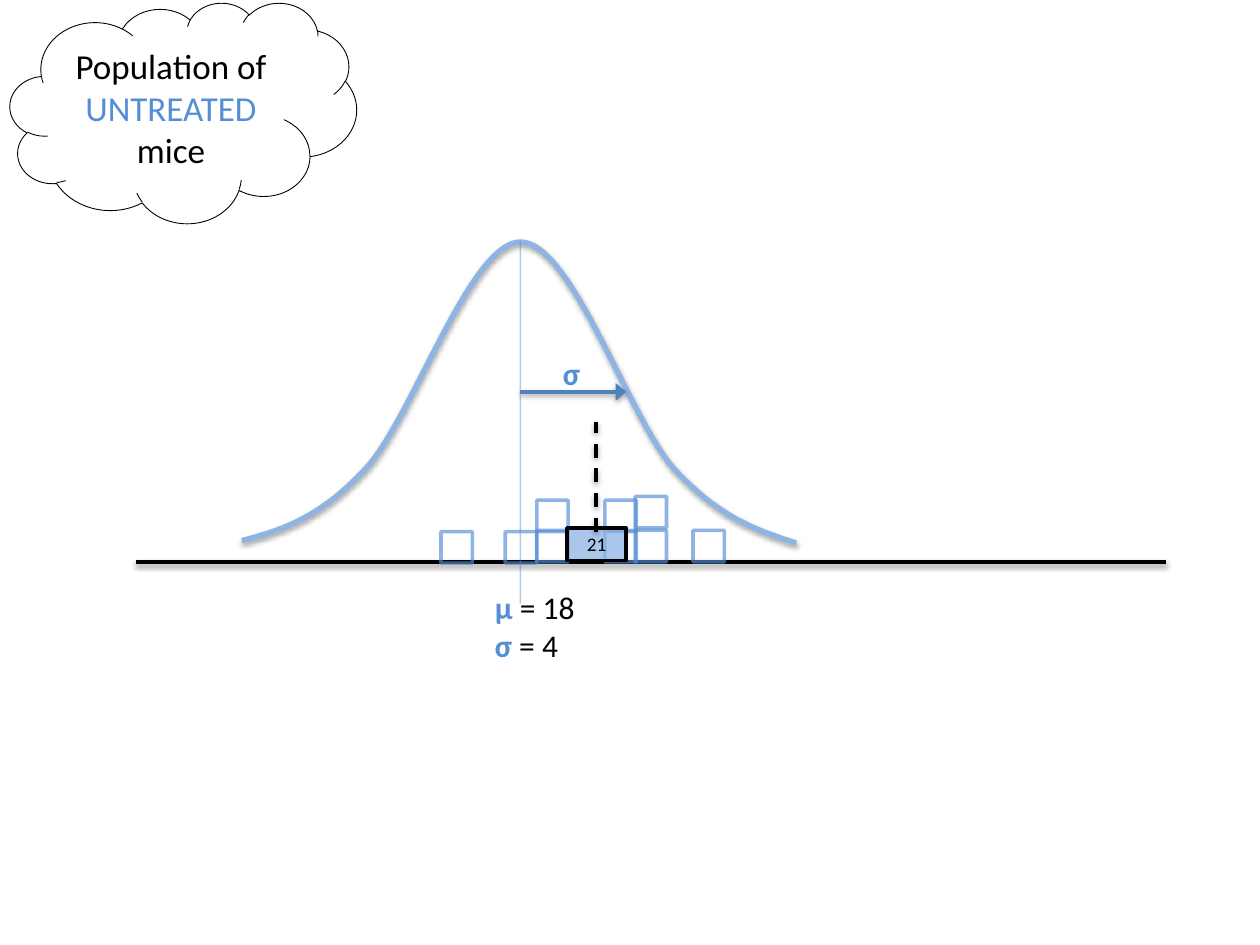
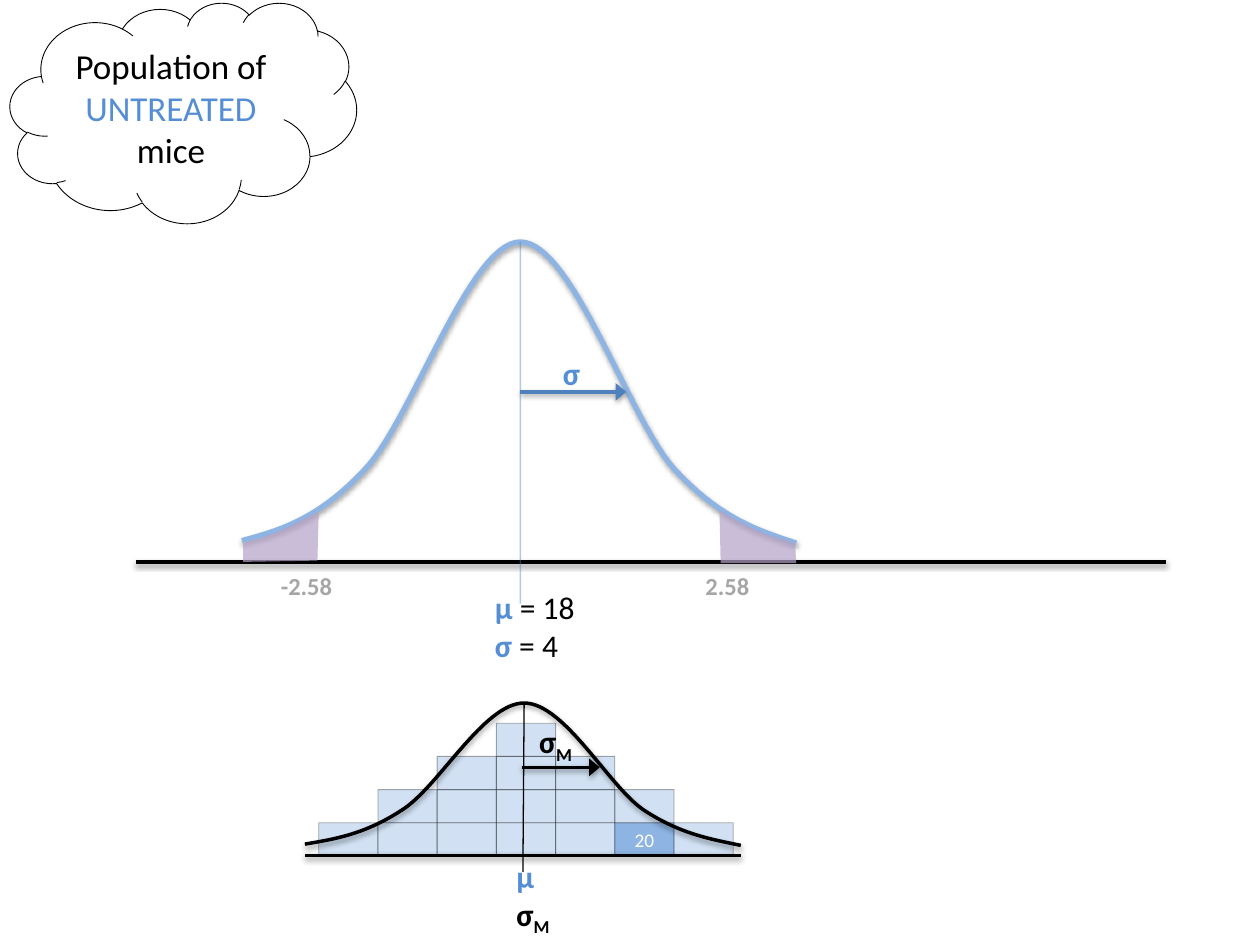
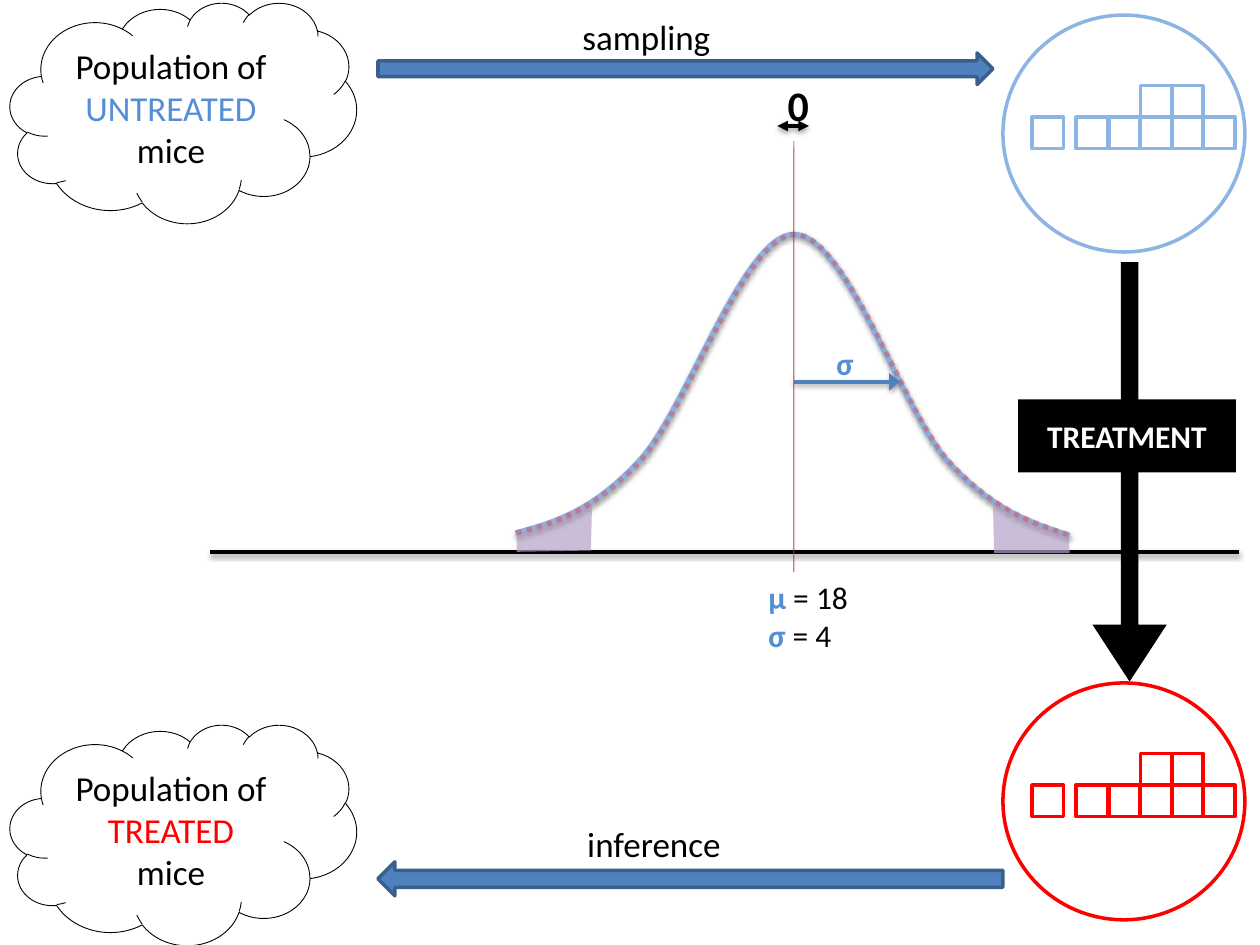
import lxml.etree
import pptx
import pptx.dml.color
import pptx.enum.dml
import pptx.enum.shapes
import pptx.enum.text
import pptx.oxml.ns
import pptx.util

PX = 9144  # EMU per px, 100 px to the inch
FONT = "Calibri"
BLACK, WHITE, RED, GREY = "000000", "FFFFFF", "FF0000", "A6A6A6"
BLUE, PALE, STEEL, EDGE, CENTRE = "558ED5", "8EB4E3", "4F81BD", "3A5F8C", "4B7EBC"
PURPLE = "B3A2C7"

SHAPE = pptx.enum.shapes.MSO_SHAPE
DASH = pptx.enum.dml.MSO_LINE
ALIGN = pptx.enum.text.PP_ALIGN
qn = pptx.oxml.ns.qn

SYMBOL = {"size": 18, "bold": True, "color": BLUE}
VALUE = {"size": 18}
MEAN_SYMBOL = {"size": 18, "bold": True}
TICK = {"size": 14, "bold": True, "color": GREY}
SUB_M = ("M", MEAN_SYMBOL | {"baseline": -25})
PARAMETERS = [[("µ", SYMBOL), (" = 18", VALUE)], [("σ", SYMBOL), (" = 4", VALUE)]]

# Each bell: start point, then cubic segments of two controls and an end.
BELL = [(192, 429), (222, 421), (253, 412), (290, 372), (327, 333), (373, 192), (413, 192),
        (454, 192), (499, 332), (535, 372), (572, 412), (602, 421), (632, 431)]
MEAN_BELL = [(242, 670), (266, 666), (290, 662), (319, 643), (348, 625), (384, 558), (416, 558),
             (448, 558), (483, 624), (511, 643), (540, 662), (564, 666), (588, 671)]
TAILS = [
    [(632, 447), (631, 431), (622, 428), (611, 425), (597, 419), (587, 414), (571, 405), (572, 447)],
    [(193, 431), (208, 427), (223, 421), (239, 413), (253, 406), (252, 445), (193, 446)],
]
TICKS = [("2.58", 550, 448), ("-2.58", 213, 448)]

SQUARE = 25
SCORES = [(550, 421), (350, 422), (426, 421), (504, 421), (401, 422),
          (480, 421), (426, 397), (480, 397), (504, 394)]
SAMPLE = [(109, 81), (134, 81), (159, 81), (58, 81), (109, 56), (134, 56), (84, 81), (23, 81)]

BAR_W, BAR_H = 47, 26.33
MEAN_COUNTS = [1, 2, 3, 4, 3, 2, 1]
MARKED_MEAN = (5, 0)

BLOCK_ARROWS = [("sampling", (367, 7, 292, 44), (300, 42, 488, 25), False),
                ("inference", (373, 648, 292, 44), (300, 684, 496, 27), True)]


def emu(*lengths):
    return [round(v * PX) for v in lengths]


def rgb(color):
    return pptx.dml.color.RGBColor.from_string(color)


def add_alpha(color_element, percent):
    lxml.etree.SubElement(color_element, qn("a:alpha"), val=str(percent * 1000))


def paint(fill, color, alpha=100):
    if color is None:
        fill.background()
        return
    fill.solid()
    fill.fore_color.rgb = rgb(color)
    if alpha < 100:
        add_alpha(fill._xPr.find(qn("a:solidFill")).find(qn("a:srgbClr")), alpha)


def finish(shape, line=None, width=2, alpha=100, dash=None, ends=(), end_width="lg",
           shadow=False):
    """Format the outline, its arrowheads and the shadow."""
    paint(shape.line.fill, line, alpha)
    if line:
        shape.line.width = pptx.util.Pt(width)
    if dash:
        shape.line.dash_style = dash
    for end in ends:
        lxml.etree.SubElement(shape.line._get_or_add_ln(), qn("a:" + end),
                              type="triangle", w=end_width)
    effects = lxml.etree.SubElement(shape._element.spPr, qn("a:effectLst"))
    if shadow:
        outer = lxml.etree.SubElement(effects, qn("a:outerShdw"), blurRad="40000", dist="20000",
                                      dir="5400000", rotWithShape="0")
        add_alpha(lxml.etree.SubElement(outer, qn("a:srgbClr"), val=BLACK), 38)


def write(tf, paragraphs, align=None):
    for i, runs in enumerate(paragraphs):
        p = tf.paragraphs[0] if i == 0 else tf.add_paragraph()
        p.alignment = align
        for text, form in runs:
            r = p.add_run()
            r.text = text
            values = {"name": FONT, "size": pptx.util.Pt(form["size"]),
                      "bold": form.get("bold", False)}
            for key, value in values.items():
                setattr(r.font, key, value)
            r.font.color.rgb = rgb(form.get("color", BLACK))
            if "baseline" in form:
                r.font._element.set("baseline", str(form["baseline"] * 1000))


def add_label(s, box, paragraphs, align=None, wrap=True):
    tf = s.shapes.add_textbox(*emu(*box)).text_frame
    tf.word_wrap = wrap
    tf.auto_size = pptx.enum.text.MSO_AUTO_SIZE.SHAPE_TO_FIT_TEXT
    write(tf, paragraphs, align)


def add_box(s, kind, box, fill=None, fill_alpha=100, runs=None, **outline):
    sp = s.shapes.add_shape(kind, *emu(*box))
    paint(sp.fill, fill, fill_alpha)
    finish(sp, **outline)
    if runs:
        sp.text_frame.vertical_anchor = pptx.enum.text.MSO_ANCHOR.MIDDLE
        write(sp.text_frame, [runs], ALIGN.CENTER)
    return sp


def add_line(s, x1, y1, x2, y2, line=BLACK, **outline):
    straight = pptx.enum.shapes.MSO_CONNECTOR.STRAIGHT
    finish(s.shapes.add_connector(straight, *emu(x1, y1, x2, y2)), line, **outline)


def add_outline(s, points, dx=0, dy=0, closed=False, fill=None, fill_alpha=100, **outline):
    points = [emu(x + dx, y + dy) for x, y in points]
    builder = s.shapes.build_freeform(*points[0])
    builder.add_line_segments(points[1:], close=closed)
    sp = builder.convert_to_shape()
    paint(sp.fill, fill, fill_alpha)
    finish(sp, **outline)
    return sp


def add_bell(s, knots, dx=0, dy=0, **outline):
    """Draw the knots as an outline, then turn each three segments into one cubic curve."""
    sp = add_outline(s, knots, dx, dy, shadow=True, **outline)
    segments = list(sp._element.iter(qn("a:lnTo")))
    for i in range(0, len(segments), 3):
        curve = lxml.etree.SubElement(segments[i].getparent(), qn("a:cubicBezTo"))
        for segment in segments[i:i + 3]:
            curve.append(segment[0])
            segment.getparent().remove(segment)


def add_distribution(s, axis_left=108, axis_right=925, dx=0, dy=0, bell_dy=0, top=192, foot=479):
    add_line(s, axis_left, 446 + dy, axis_right, 446 + dy, shadow=True)
    add_bell(s, BELL, dx, bell_dy, line=PALE, width=3)
    add_line(s, 413 + dx, top, 413 + dx, foot, line=CENTRE, width=0.75, alpha=42)
    add_label(s, (383 + dx, 462 + dy, 92, 71), PARAMETERS)
    add_line(s, 413 + dx, 311 + dy, 497 + dx, 311 + dy, line=STEEL, ends=["tailEnd"], shadow=True)
    add_label(s, (437 + dx, 276 + dy, 37, 40), [[("σ", SYMBOL)]], wrap=False)


def add_tails(s, dx=0, dy=0):
    for tail in TAILS:
        add_outline(s, tail, dx, dy, closed=True, fill=PURPLE, fill_alpha=70)


def add_squares(s, corners, dx=0, dy=0, **outline):
    for x, y in corners:
        add_box(s, SHAPE.RECTANGLE, (x + dx, y + dy, SQUARE, SQUARE), **outline)


def add_population(s, group="UNTREATED ", color=BLUE, top=2):
    runs = [("Population of ", {"size": 20}), (group, {"size": 20, "color": color}),
            ("mice", {"size": 20})]
    add_box(s, SHAPE.CLOUD, (8, top, 275, 175), runs=runs, line=BLACK, width=0.5)


def add_sample(s, top, color):
    add_box(s, SHAPE.OVAL, (796, top, 192, 188), line=color)
    add_squares(s, SAMPLE, 796, top, line=color)


def build_scores(s):
    add_distribution(s)
    add_squares(s, SCORES, line=BLUE, alpha=66)
    add_box(s, SHAPE.RECTANGLE, (450, 419, 47, 26), PALE, 75, [("21", {"size": 11})], line=BLACK)
    add_line(s, 473, 422, 473, 335, dash=DASH.DASH, shadow=True)
    add_population(s)


def build_sample_means(s):
    add_distribution(s)
    for text, left, top in TICKS:
        add_label(s, (left, top, 92, 34), [[(text, TICK)]])
    add_tails(s)
    for column, count in enumerate(MEAN_COUNTS):
        for level in range(count):
            marked = (column, level) == MARKED_MEAN
            box = (253 + column * BAR_W, 653 - level * BAR_H, BAR_W, BAR_H)
            add_box(s, SHAPE.RECTANGLE, box, PALE, 100 if marked else 40,
                    [("20", {"size": 11, "color": WHITE})] if marked else None,
                    line=BLACK, width=0.5, alpha=32)
    add_bell(s, MEAN_BELL, line=BLACK)
    sigma_mean = [("σ", MEAN_SYMBOL), SUB_M]
    add_label(s, (400, 675, 92, 71), [[("µ", SYMBOL)], sigma_mean])
    add_line(s, 242, 679, 588, 679, shadow=True)
    add_line(s, 416, 558, 415, 692, width=0.75)
    add_line(s, 414, 609, 476, 609, ends=["tailEnd"], shadow=True)
    add_label(s, (418, 568, 49, 40), [sigma_mean], wrap=False)
    add_population(s)


def build_experiment(s):
    arrow = add_box(s, SHAPE.DOWN_ARROW, (867, 208, 59, 333), BLACK)
    arrow.adjustments[0], arrow.adjustments[1] = 0.233, 0.767
    add_distribution(s, 167, 983, dx=217, dy=-8, bell_dy=-6, top=117, foot=454)
    add_tails(s, 217, -8)
    add_population(s)
    add_population(s, "TREATED ", RED, 575)
    add_line(s, 642, 100, 617, 100, ends=["headEnd", "tailEnd"], end_width="med", shadow=True)
    add_label(s, (624, 58, 11, 50), [[("0", {"size": 24, "bold": True})]], ALIGN.CENTER)
    add_bell(s, BELL, 218, -6, line=RED, width=3, alpha=26, dash=DASH.ROUND_DOT)
    add_line(s, 630, 112, 630, 454, line=RED, width=0.75, alpha=42)
    add_sample(s, 12, PALE)
    add_sample(s, 542, RED)
    add_box(s, SHAPE.RECTANGLE, (808, 317, 173, 58), BLACK,
            runs=[("TREATMENT", {"size": 18, "bold": True, "color": WHITE})])
    for text, label_box, arrow_box, flipped in BLOCK_ARROWS:
        sp = add_box(s, SHAPE.RIGHT_ARROW, arrow_box, STEEL, line=EDGE)
        if flipped:
            sp._element.spPr.xfrm.set("flipH", "1")
        add_label(s, label_box, [[(text, {"size": 20})]], ALIGN.CENTER)


def main():
    prs = pptx.Presentation()
    prs.slide_width, prs.slide_height = emu(1000, 750)
    for build in (build_scores, build_sample_means, build_experiment):
        build(prs.slides.add_slide(prs.slide_layouts[6]))
    prs.save("out.pptx")


if __name__ == "__main__":
    main()
